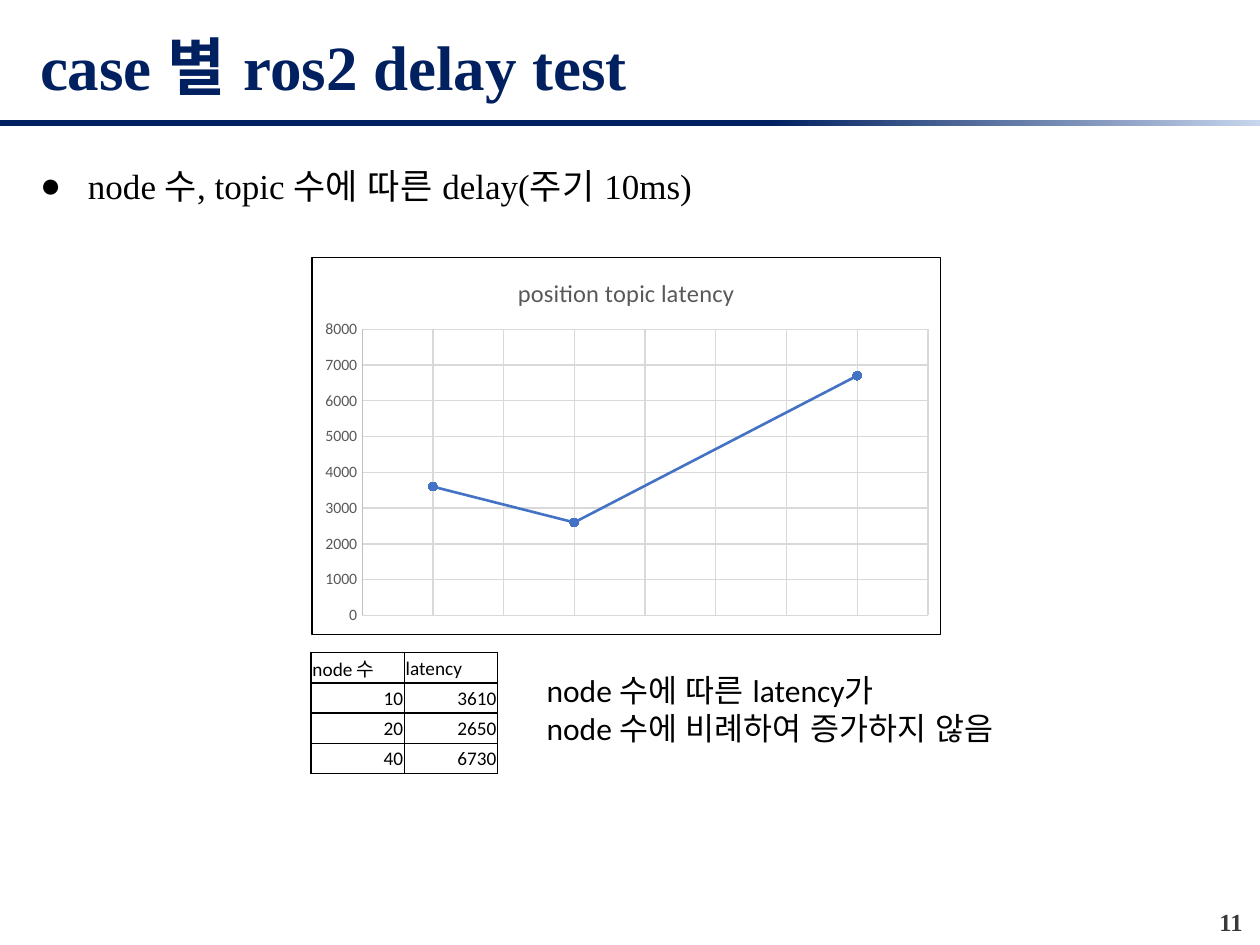
from dataclasses import dataclass

from lxml import etree
from pptx import Presentation
from pptx import util as u
from pptx.chart.data import XyChartData
from pptx.dml.color import RGBColor
from pptx.enum import chart as charts, lang, shapes, text
from pptx.oxml import parse_xml
from pptx.oxml.ns import nsdecls, qn

SERIF = "Times New Roman"
SANS = "Calibri"
BLACK = "000000"
NAVY = "002060"
GRID = "D9D9D9"
GREY = "595959"
BLUE = "4472C4"


@dataclass(frozen=True)
class Caption:
    left: float
    top: float
    width: float
    height: float
    lines: tuple[str, ...]
    size: int
    face: str = SERIF
    colour: str = BLACK
    bold: bool = False
    align: text.PP_ALIGN = text.PP_ALIGN.LEFT
    anchor: text.MSO_ANCHOR = text.MSO_ANCHOR.TOP
    bullet: str = ""


@dataclass(frozen=True)
class Measurement:
    nodes: int
    latency: int


CAPTIONS = (
    Caption(0.22, 1.09, 9.5, 0.54, ("node 수, topic 수에 따른 delay(주기 10ms)",), 20, bullet="●"),
    Caption(9.44, 7.15, 0.52, 0.3, ("11",), 14, colour="3B3838", bold=True,
            align=text.PP_ALIGN.RIGHT),
    Caption(0.22, 0.12, 9.5, 0.8, ("case 별 ros2 delay test",), 36, colour=NAVY, bold=True,
            anchor=text.MSO_ANCHOR.MIDDLE),
    Caption(4.24, 5.28, 4.77, 0.71,
            ("node 수에 따른 latency가", "node 수에 비례하여 증가하지 않음"), 18, face=SANS),
)
MEASUREMENTS = (Measurement(10, 3610), Measurement(20, 2650), Measurement(40, 6730))


def rgb(colour: str) -> RGBColor:
    return RGBColor.from_string(colour)


def style_font(font, face: str, size: int, colour: str, bold: bool = False) -> None:
    font.name = face
    font.size = u.Pt(size)
    font.bold = bold
    font.color.rgb = rgb(colour)


def style_line(line, colour: str, width: float) -> None:
    line.color.rgb = rgb(colour)
    line.width = u.Pt(width)


def add_bullet(paragraph, mark: str) -> None:
    properties = paragraph._p.get_or_add_pPr()
    properties.set("marL", str(u.Inches(0.38)))
    properties.set("indent", str(-u.Inches(0.38)))
    etree.SubElement(properties, qn("a:buFont")).set("typeface", SERIF)
    etree.SubElement(properties, qn("a:buChar")).set("char", mark)
    paragraph.line_spacing = 1.5


def add_caption(slide, caption: Caption) -> None:
    box = slide.shapes.add_textbox(u.Inches(caption.left), u.Inches(caption.top),
                                   u.Inches(caption.width), u.Inches(caption.height))
    frame = box.text_frame
    frame.word_wrap = True
    frame.vertical_anchor = caption.anchor
    frame.text = "\n".join(caption.lines)
    for paragraph in frame.paragraphs:
        paragraph.alignment = caption.align
        if caption.bullet:
            add_bullet(paragraph, caption.bullet)
        for run in paragraph.runs:
            style_font(run.font, caption.face, caption.size, caption.colour, caption.bold)
            run.font.language_id = lang.MSO_LANGUAGE_ID.KOREAN


def add_title_rule(slide) -> None:
    rule = slide.shapes.add_shape(shapes.MSO_SHAPE.RECTANGLE, 0, u.Inches(0.95),
                                  u.Inches(10), u.Inches(0.05))
    rule.shadow.inherit = False
    rule.line.fill.background()
    rule.fill.gradient()
    rule.fill.gradient_angle = 0
    for stop, (position, colour) in zip(rule.fill.gradient_stops, ((0.61, NAVY), (1, "C7D5ED"))):
        stop.position = position
        stop.color.rgb = rgb(colour)


def frame_chart(chart) -> None:
    space = chart._chartSpace
    space.find(qn("c:chart")).addnext(parse_xml(
        f'<c:spPr {nsdecls("c", "a")}><a:solidFill><a:srgbClr val="FFFFFF"/></a:solidFill>'
        f'<a:ln w="{u.Pt(0.75)}"><a:solidFill><a:srgbClr val="{BLACK}"/></a:solidFill></a:ln>'
        '</c:spPr>'))
    plot_area = space.find(".//" + qn("c:plotArea"))
    for layout in plot_area.findall(qn("c:layout")):
        plot_area.remove(layout)
    extents = "".join(f'<c:{key} val="{value}"/>' for key, value in
                      (("x", 0.08), ("y", 0.19), ("w", 0.9), ("h", 0.76)))
    plot_area.insert(0, parse_xml(
        f'<c:layout {nsdecls("c")}><c:manualLayout><c:layoutTarget val="inner"/>'
        f'<c:xMode val="edge"/><c:yMode val="edge"/>{extents}</c:manualLayout></c:layout>'))


def add_latency_chart(slide) -> None:
    points = XyChartData()
    latency = points.add_series("Series 1")
    for measurement in MEASUREMENTS:
        latency.add_data_point(measurement.nodes, round(measurement.latency, -2))
    chart = slide.shapes.add_chart(charts.XL_CHART_TYPE.XY_SCATTER_LINES, u.Inches(2.47),
                                   u.Inches(2.04), u.Inches(5), u.Inches(3), points).chart
    style_font(chart.font, SANS, 10, BLACK)
    chart.has_legend = False
    chart.has_title = True
    heading = chart.chart_title.text_frame
    heading.text = "position topic latency"
    style_font(heading.paragraphs[0].runs[0].font, SANS, 14, GREY)
    chart.plots[0].vary_by_categories = False

    nodes_axis, latency_axis = chart.category_axis, chart.value_axis
    for axis, low, high, step in ((nodes_axis, 5, 45, 5), (latency_axis, 0, 8000, 1000)):
        axis.minimum_scale, axis.maximum_scale, axis.major_unit = low, high, step
        axis.has_major_gridlines = True
        style_line(axis.major_gridlines.format.line, GRID, 0.75)
    nodes_axis.visible = False
    latency_axis.major_tick_mark = charts.XL_TICK_MARK.NONE
    style_font(latency_axis.tick_labels.font, SANS, 9, GREY)
    style_line(latency_axis.format.line, "BFBFBF", 0.75)

    curve = chart.plots[0].series[0]
    curve.smooth = False
    style_line(curve.format.line, BLUE, 1.5)
    curve.marker.style = charts.XL_MARKER_STYLE.CIRCLE
    curve.marker.size = 5
    curve.marker.format.fill.solid()
    curve.marker.format.fill.fore_color.rgb = rgb(BLUE)
    style_line(curve.marker.format.line, BLUE, 0.75)
    frame_chart(chart)


def fill_cell(cell, content: str, align: text.PP_ALIGN) -> None:
    cell.text_frame.text = content
    cell.vertical_anchor = text.MSO_ANCHOR.MIDDLE
    cell.margin_left = cell.margin_right = cell.margin_top = u.Inches(0.01)
    cell.margin_bottom = 0
    paragraph = cell.text_frame.paragraphs[0]
    paragraph.alignment = align
    style_font(paragraph.runs[0].font, SANS, 11, BLACK)
    properties = cell._tc.get_or_add_tcPr()
    for side in "LRTB":
        properties.append(parse_xml(
            f'<a:ln{side} {nsdecls("a")} w="{u.Pt(1)}"><a:solidFill>'
            f'<a:srgbClr val="{BLACK}"/></a:solidFill></a:ln{side}>'))
    cell.fill.solid()
    cell.fill.fore_color.rgb = rgb("FFFFFF")


def add_latency_table(slide) -> None:
    rows = [("node 수", "latency")] + [(str(m.nodes), str(m.latency)) for m in MEASUREMENTS]
    table = slide.shapes.add_table(len(rows), 2, u.Inches(2.47), u.Inches(5.18),
                                   u.Inches(1.48), u.Inches(0.96)).table
    table.first_row = table.horz_banding = False
    for row, contents in enumerate(rows):
        align = text.PP_ALIGN.RIGHT if row else text.PP_ALIGN.LEFT
        for column, content in enumerate(contents):
            fill_cell(table.cell(row, column), content, align)


def main() -> None:
    deck = Presentation()
    deck.slide_width, deck.slide_height = u.Inches(10), u.Inches(7.5)
    slide = deck.slides.add_slide(deck.slide_layouts[6])
    add_title_rule(slide)
    add_latency_chart(slide)
    add_latency_table(slide)
    for caption in CAPTIONS:
        add_caption(slide, caption)
    deck.save("out.pptx")


if __name__ == "__main__":
    main()
